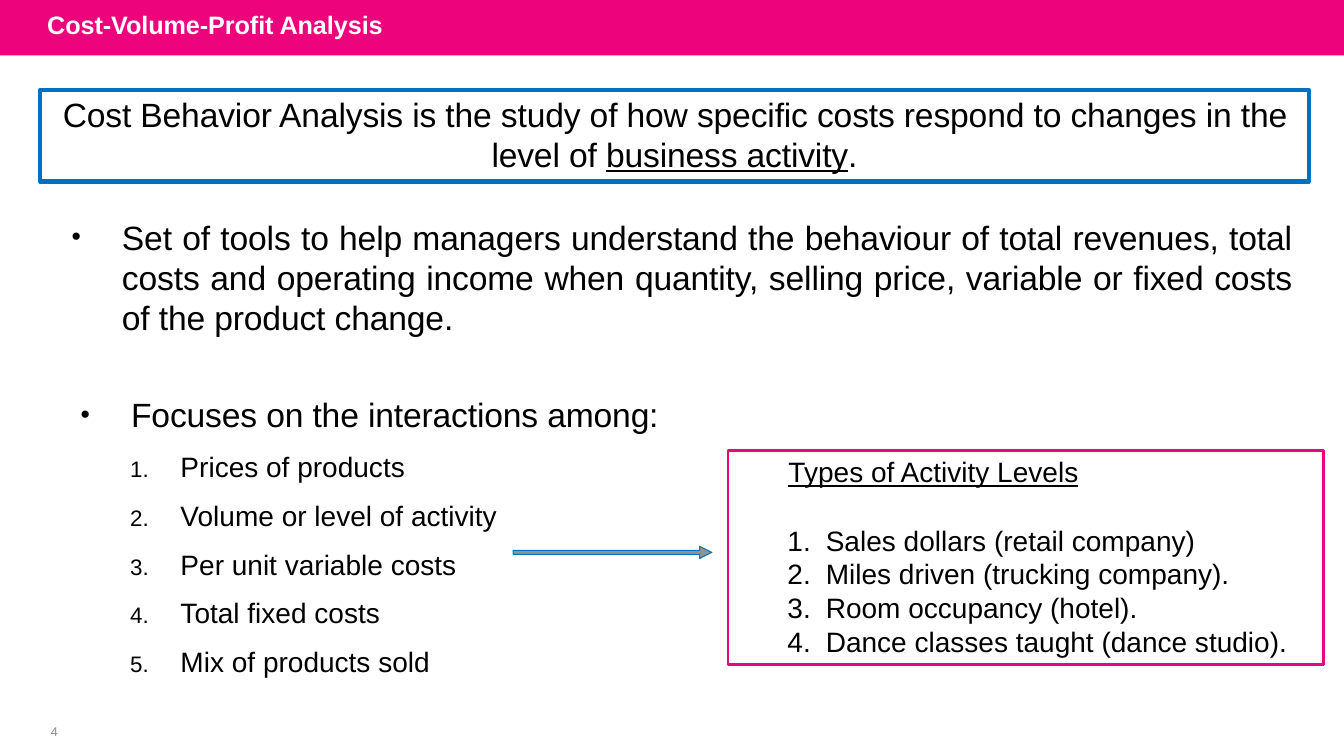
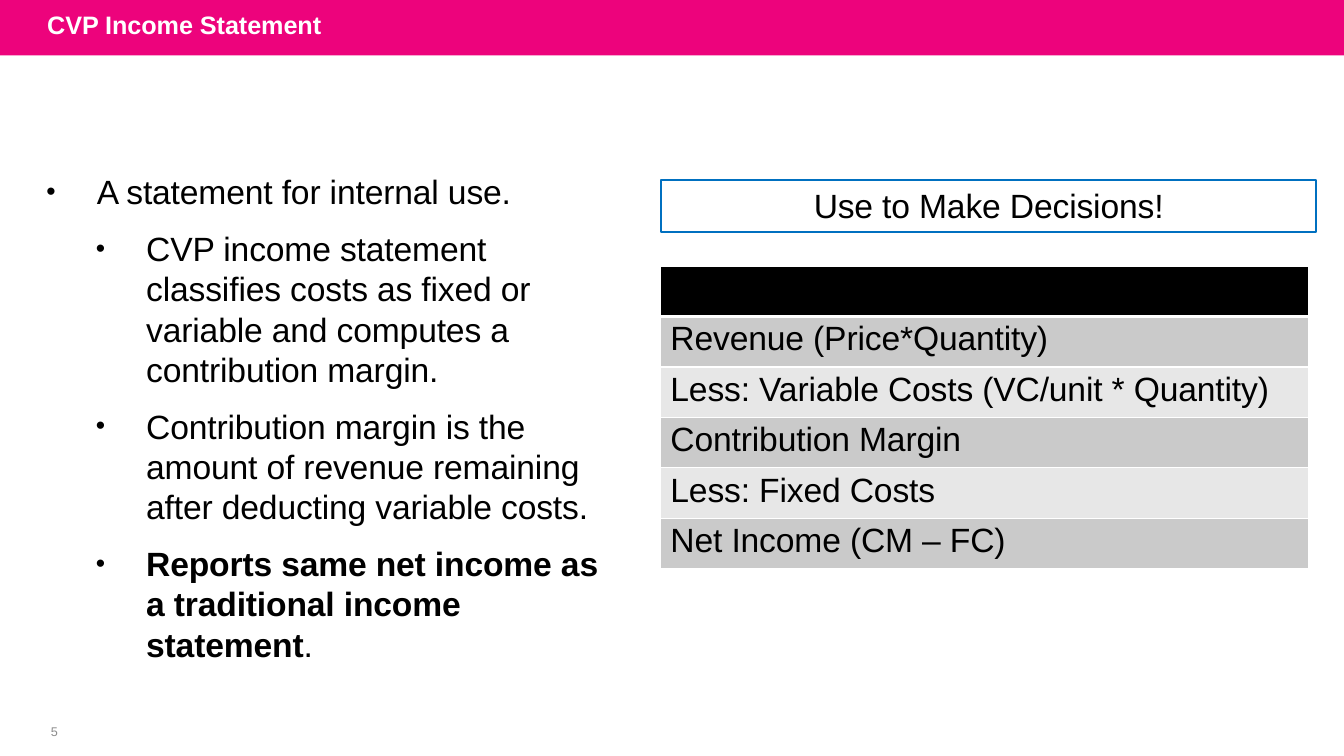
from lxml.etree import SubElement
from pptx import Presentation
from pptx.dml.color import RGBColor
from pptx.enum.shapes import MSO_SHAPE as SHAPE
from pptx.enum.text import MSO_ANCHOR as ANCHOR, PP_ALIGN as ALIGN
from pptx.oxml.ns import qn
from pptx.util import Inches, Pt

WIDTH, HEIGHT = 13.33, 7.5
FONT = "Arial"
COLORS = {"pink": "ED037C", "blue": "0070C0", "gray": "929292", "number": "8C8C8C",
          "black": "000000", "white": "FFFFFF", "odd": "CACACA", "even": "E7E7E7"}

# Indents in inches, spacing and sizes in points
BULLET = {"left": 0.51, "hang": 0.5, "bullet": "•", "scale": 79}
STEP = {"left": 1, "hang": 0.5, "bullet": "1.", "scale": 80, "size": 20, "before": 10.8, "spc": 0}
TYPE = {"left": 0.97, "hang": 0.38, "bullet": "1.", "size": 20, "spc": 0}
TYPE_HEAD = {"left": 0.6, "size": 20, "spc": 0}
CENTER = {"align": ALIGN.CENTER}
U, B = {"underline": True}, {"bold": True}

# A paragraph is (runs, format); a run is (text, font values)
TOOLS = [([("Set of tools to help managers understand the behaviour of total revenues, "
            "total costs and operating income when quantity, selling price, variable or "
            "fixed costs of the product change.", {})],
          {**BULLET, "align": ALIGN.JUSTIFY, "before": 1})]
FACTORS = [([("Focuses on the interactions among:", {})], BULLET)] + [
    ([(t, {})], STEP) for t in ("Prices of products", "Volume or level of activity",
                                "Per unit variable costs", "Total fixed costs",
                                "Mix of products sold")]
DEFINITION = [([("Cost Behavior Analysis is the study of how specific costs respond to "
                 "changes in the level of ", {}), ("business activity", U), (".", {})], CENTER)]
ACTIVITY_TYPES = ["Sales dollars (retail company)", "Miles driven (trucking company).",
                  "Room occupancy (hotel).", "Dance classes taught (dance studio)."]
ACTIVITIES = [([("Types of Activity Levels", U)], TYPE_HEAD)] + [
    ([(t, {})], {**TYPE, "before": 0 if i else 25}) for i, t in enumerate(ACTIVITY_TYPES)]

INTERNAL = [([("A statement for internal use.", {})], {**BULLET, "before": 1})]
DETAILS = [(runs, {**BULLET, "before": 11.8 if i else 1}) for i, runs in enumerate([
    [("CVP income statement classifies costs as fixed or variable and computes a "
      "contribution margin.", {})],
    [("Contribution margin is the amount of revenue remaining after deducting "
      "variable costs.", {})],
    [("Reports same net income as a traditional income statement", B), (".", {})]])]
DECISIONS = [([("Use to Make Decisions!", {})], CENTER)]
STATEMENT = ["", "Revenue (Price*Quantity)", "Less: Variable Costs (VC/unit * Quantity)",
             "Contribution Margin", "Less: Fixed Costs", "Net Income (CM – FC)"]


def rgb(name):
    return RGBColor.from_string(COLORS[name])


def set_bullet(p, left=0, hang=0, bullet=None, scale=100):
    pPr = p._p.get_or_add_pPr()
    pPr.set("marL", str(Inches(left)))
    pPr.set("indent", str(-Inches(hang)))
    if bullet:
        SubElement(pPr, qn("a:buSzPct"), val=str(scale * 1000))
        SubElement(pPr, qn("a:buFont"), typeface=FONT)
        if bullet == "1.":
            SubElement(pPr, qn("a:buAutoNum"), type="arabicPeriod")
        else:
            SubElement(pPr, qn("a:buChar"), char=bullet)


def write(tf, paragraphs, margins=(0, 0.04, 0, 0), anchor=ANCHOR.TOP):
    tf.word_wrap = True
    tf.vertical_anchor = anchor
    for side, m in zip(("left", "top", "right", "bottom"), margins):
        setattr(tf, f"margin_{side}", Inches(m))
    for i, (runs, fmt) in enumerate(paragraphs):
        p = tf.add_paragraph() if i else tf.paragraphs[0]
        p.alignment = fmt.get("align", ALIGN.LEFT)
        p.space_before = Pt(fmt.get("before", 0))
        set_bullet(p, **{k: fmt[k] for k in ("left", "hang", "bullet", "scale") if k in fmt})
        for text, style in runs:
            r = p.add_run()
            r.text = text
            values = {"name": FONT, "size": Pt(fmt.get("size", 24)), **style}
            for key, value in values.items():
                setattr(r.font, key, value)
            r.font.color.rgb = rgb(fmt.get("color", "black"))
            r._r.get_or_add_rPr().set("spc", str(fmt.get("spc", -10)))


def add_text(s, box, paragraphs, margins=(0, 0.01, 0, 0), anchor=ANCHOR.TOP):
    tb = s.shapes.add_textbox(*map(Inches, box))
    write(tb.text_frame, paragraphs, margins, anchor)


def add_shape(s, kind, box, fill=None, line=None, weight=1):
    sp = s.shapes.add_shape(kind, *map(Inches, box))
    sp.shadow.inherit = False
    for part, color in ((sp.fill, fill), (sp.line.fill, line)):
        if color:
            part.solid()
            part.fore_color.rgb = rgb(color)
        else:
            part.background()
    if line:
        sp.line.width = Pt(weight)
    return sp


def add_framed(s, box, paragraphs, line, weight):
    sp = add_shape(s, SHAPE.RECTANGLE, box, line=line, weight=weight)
    write(sp.text_frame, paragraphs)


def set_borders(cell, top, bottom):
    tcPr = cell._tc.get_or_add_tcPr()
    for side, weight in (("L", 1), ("R", 1), ("T", top), ("B", bottom)):
        ln = SubElement(tcPr, qn(f"a:ln{side}"), w=str(Pt(weight)))
        fill = SubElement(ln, qn("a:solidFill"))
        SubElement(fill, qn("a:srgbClr"), val=COLORS["white"])


def add_statement(s, left, top, width, row_height):
    n = len(STATEMENT)
    frame = s.shapes.add_table(n, 1, *map(Inches, (left, top, width, n * row_height)))
    for i, text in enumerate(STATEMENT):
        cell = frame.table.cell(i, 0)
        set_borders(cell, 3 if i == 1 else 1, 1 if i else 3)
        cell.fill.solid()
        cell.fill.fore_color.rgb = rgb(("odd" if i % 2 else "even") if i else "black")
        if text:
            write(cell.text_frame, [([(text, {})], {"left": 0.1})])
        for side, m in (("left", 0), ("top", 0.04), ("right", 0), ("bottom", 0)):
            setattr(cell, f"margin_{side}", Inches(m))


def new_slide(prs, title, number):
    """Add a slide with the title band and page number."""
    s = prs.slides.add_slide(prs.slide_layouts[6])
    add_shape(s, SHAPE.RECTANGLE, (0, 0, WIDTH, 0.55), fill="pink")
    add_text(s, (0.37, -0.03, 10.5, 0.55),
             [([(title, B)], {"size": 18, "color": "white", "spc": -5})],
             (0.1, 0.05, 0.1, 0.05), ANCHOR.MIDDLE)
    add_text(s, (0.26, 7.14, 0.52, 0.24),
             [([(str(number), {})], {**CENTER, "left": 0.04, "size": 9, "color": "number"})],
             (0, 0, 0, 0), ANCHOR.MIDDLE)
    return s


def build_analysis(prs):
    s = new_slide(prs, "Cost-Volume-Profit Analysis", 4)
    add_text(s, (0.7, 2.14, 12.11, 1.23), TOOLS)
    add_text(s, (0.79, 3.72, 5.81, 3.03), FACTORS, (0, 0.19, 0, 0))
    add_framed(s, (0.4, 0.89, 12.58, 0.91), DEFINITION, "blue", 3)
    arrow = add_shape(s, SHAPE.RIGHT_ARROW, (5.09, 5.42, 1.97, 0.12), "gray", "blue", 0.75)
    arrow.adjustments[0], arrow.adjustments[1] = 0.33, 1
    add_framed(s, (7.22, 4.47, 5.91, 2.12), ACTIVITIES, "pink", 2)


def build_statement(prs):
    s = new_slide(prs, "CVP Income Statement", 5)
    add_text(s, (0.45, 1.69, 4.68, 0.43), INTERNAL)
    add_text(s, (0.94, 2.25, 5.05, 4.36), DETAILS)
    add_statement(s, 6.55, 2.64, 6.43, 0.5)
    add_framed(s, (6.56, 1.79, 6.49, 0.51), DECISIONS, "blue", 1.5)


def main():
    prs = Presentation()
    prs.slide_width, prs.slide_height = Inches(WIDTH), Inches(HEIGHT)
    build_analysis(prs)
    build_statement(prs)
    prs.save("out.pptx")


if __name__ == "__main__":
    main()
